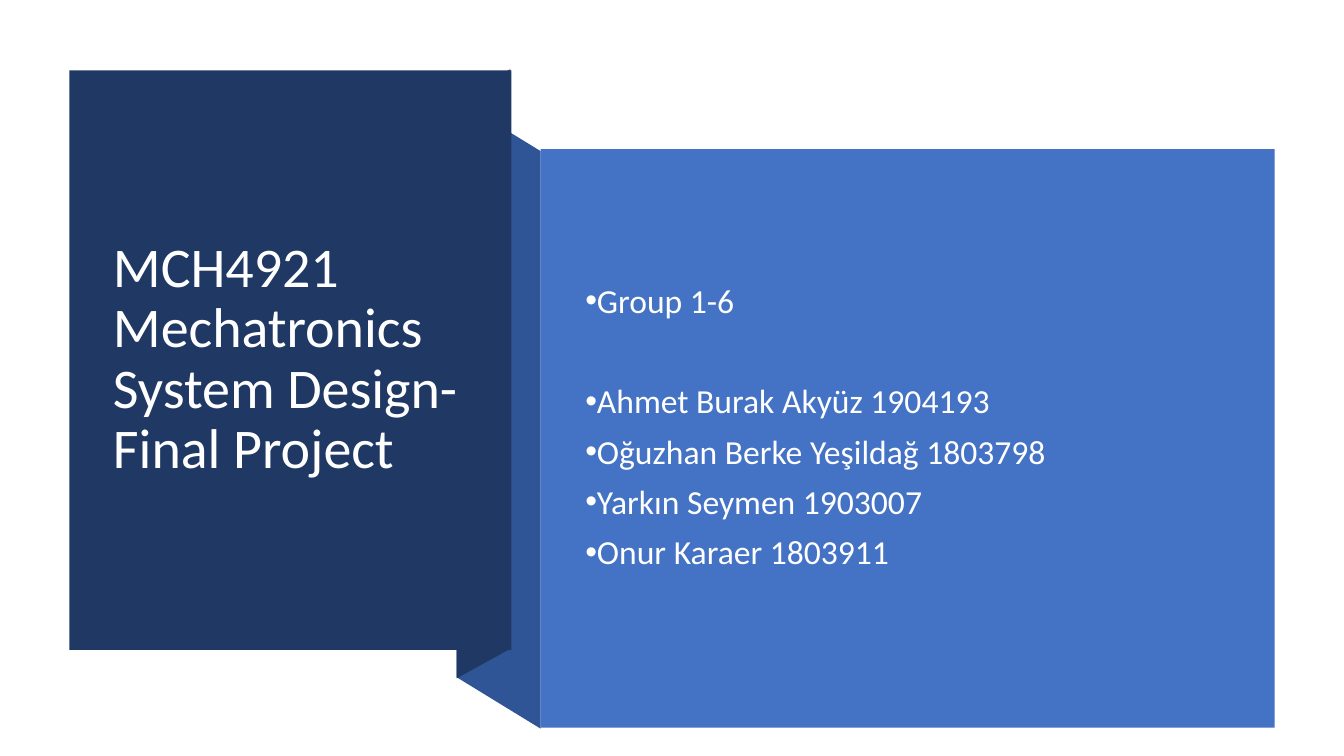
from dataclasses import dataclass

from lxml import etree
from pptx import Presentation
from pptx import util as u
from pptx.dml.color import RGBColor
from pptx.enum import shapes, text
from pptx.oxml.ns import qn

PX = 9525  # EMU in one px, 96 px to the inch
NAVY = RGBColor(0x20, 0x38, 0x64)
MID = RGBColor(0x2F, 0x55, 0x97)
BLUE = RGBColor(0x44, 0x72, 0xC4)
WHITE = RGBColor(0xFF, 0xFF, 0xFF)


@dataclass
class Box:
    x: int
    y: int
    w: int
    h: int


@dataclass
class Fold:
    """Slanted strip: left and right edges of equal height."""
    left: int
    right: int
    ltop: int
    rtop: int
    h: int
    fill: RGBColor


@dataclass
class Panel:
    box: Box
    fill: RGBColor


FOLDS = [Fold(435, 515, 95, 144, 550, MID),
         Fold(435, 486, 94, 66, 552, NAVY)]
PANELS = [Panel(Box(66, 67, 421, 552), NAVY),
          Panel(Box(515, 142, 699, 551), BLUE)]
TITLE = "MCH4921 Mechatronics System Design-\vFinal Project"
GROUP = "Group 1-6"
NAMES = ["Ahmet Burak Akyüz 1904193", "Oğuzhan Berke Yeşildağ 1803798",
         "Yarkın Seymen 1903007", "Onur Karaer 1803911"]


def paint(shape, fill: RGBColor) -> None:
    shape.shadow.inherit = False
    shape.fill.solid()
    shape.fill.fore_color.rgb = fill
    shape.line.fill.background()


def draw_fold(slide, f: Fold) -> None:
    pen = slide.shapes.build_freeform(f.left, f.ltop, scale=PX)
    pen.add_line_segments([(f.right, f.rtop), (f.right, f.rtop + f.h),
                           (f.left, f.ltop + f.h)])
    paint(pen.convert_to_shape(), f.fill)


def draw_panel(slide, p: Panel) -> None:
    b = p.box
    paint(slide.shapes.add_shape(shapes.MSO_SHAPE.RECTANGLE, b.x * PX,
                                 b.y * PX, b.w * PX, b.h * PX), p.fill)


def place(shape, b: Box) -> None:
    shape.left, shape.top = b.x * PX, b.y * PX
    shape.width, shape.height = b.w * PX, b.h * PX
    frame = shape.text_frame
    frame.word_wrap = True
    frame.auto_size = text.MSO_AUTO_SIZE.NONE
    frame.vertical_anchor = text.MSO_ANCHOR.MIDDLE


def write(para, words: str, *, size: int, before: int = 0,
          bullet: bool = False) -> None:
    para.text = words
    para.alignment = text.PP_ALIGN.LEFT
    para.line_spacing = 0.9
    para.space_before = u.Pt(before)
    for run in para.runs:
        run.font.size = u.Pt(size)
        run.font.name = "Calibri"
        run.font.color.rgb = WHITE
    if bullet:
        props = para._p.get_or_add_pPr()
        props.set("marL", "0")
        props.set("indent", str(-24 * PX))
        etree.SubElement(props, qn("a:buFont")).set("typeface", "Arial")
        etree.SubElement(props, qn("a:buChar")).set("char", "•")


def main() -> None:
    deck = Presentation()
    deck.slide_width, deck.slide_height = 1280 * PX, 720 * PX
    slide = deck.slides.add_slide(deck.slide_layouts[5])

    # Ribbon folds and panels
    for fold in FOLDS:
        draw_fold(slide, fold)
    for panel in PANELS:
        draw_panel(slide, panel)

    # Title, raised above the navy panel
    title = slide.shapes.title
    place(title, Box(98, 103, 356, 479))
    write(title.text_frame.paragraphs[0], TITLE, size=40)
    slide.shapes._spTree.append(title._element)

    # Group and members, with a one-line gap after the group
    body = slide.shapes.add_textbox(0, 0, PX, PX)
    place(body, Box(548, 180, 625, 455))
    frame = body.text_frame
    write(frame.paragraphs[0], GROUP, size=24, before=10, bullet=True)
    for i, name in enumerate(NAMES):
        write(frame.add_paragraph(), name, size=24,
              before=10 if i else 46, bullet=True)

    deck.save("out.pptx")


if __name__ == "__main__":
    main()
